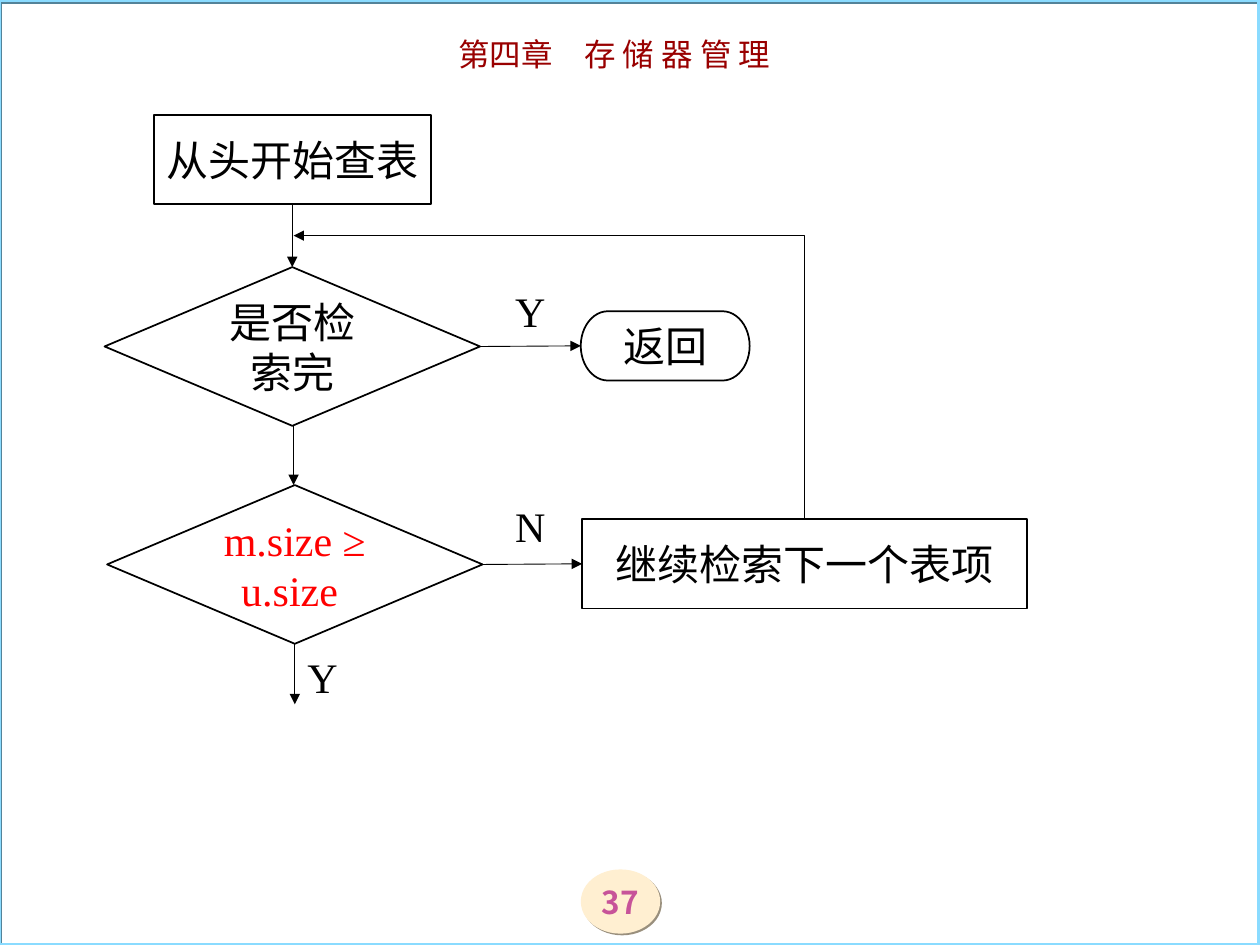
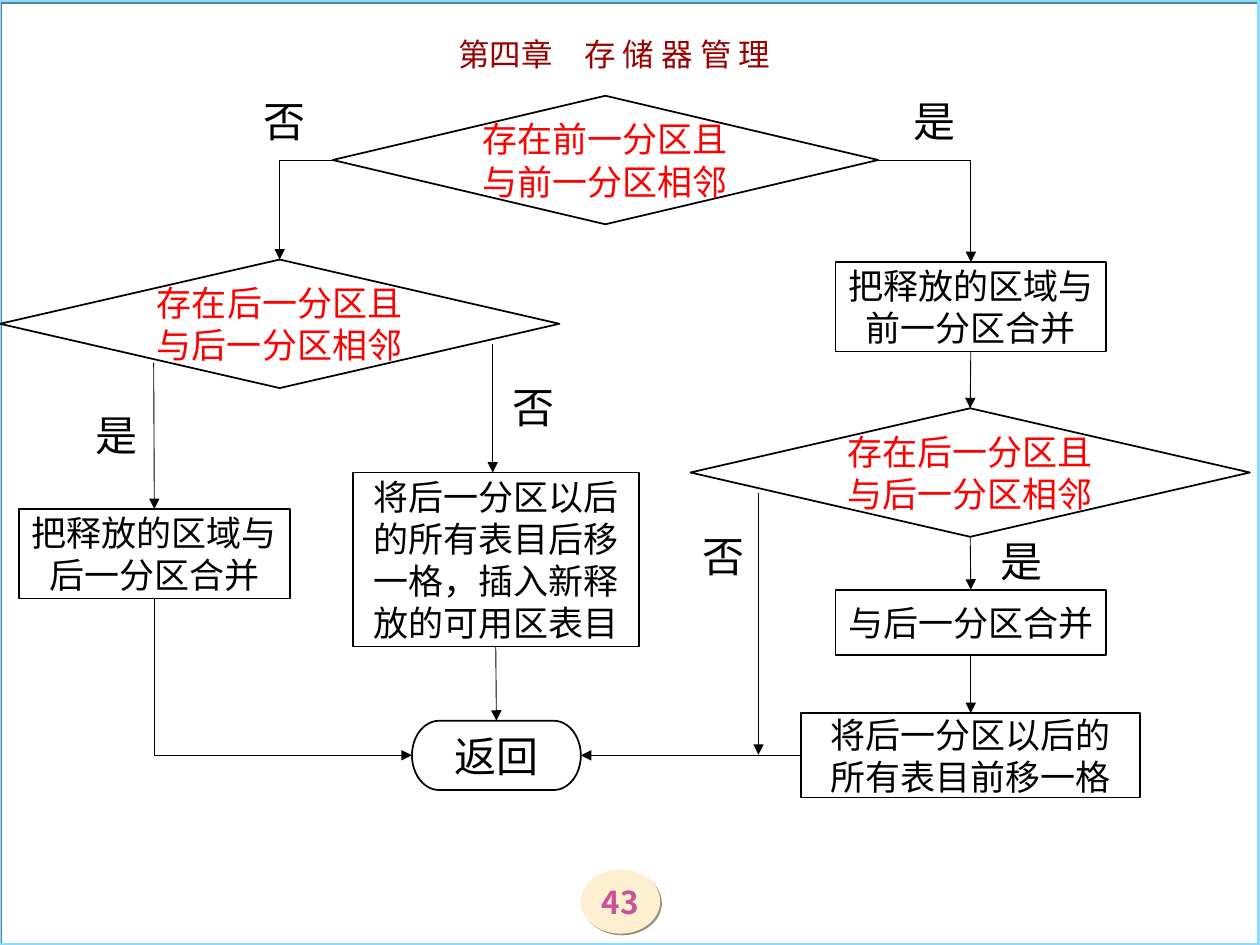
from pptx import Presentation
from pptx.dml.color import RGBColor
from pptx.enum.shapes import MSO_CONNECTOR, MSO_SHAPE
from pptx.enum.text import MSO_ANCHOR, PP_ALIGN
from pptx.oxml.ns import qn
from pptx.util import Inches, Pt
from lxml.etree import SubElement

BLACK, RED, WHITE = "000000", "FF0000", "FFFFFF"
SERIF, SANS, TITLE = "Times New Roman", "Noto Sans CJK SC", "Noto Sans CJK JP"
HEAD = "第四章　存 储 器 管 理"
KINDS = {
    "step": MSO_SHAPE.FLOWCHART_PROCESS,
    "test": MSO_SHAPE.FLOWCHART_DECISION,
    "end": MSO_SHAPE.FLOWCHART_TERMINATOR,
}

# Nodes: kind, box, lines, size, colour
# Links: from, to, bend; an end is a node side or a point,
# a bend "hv" runs across first and "vh" runs down first
# Labels: text, left, top
SEARCH = {
    "page": "37",
    "nodes": {
        "start": ("step", (1.22, 0.91, 2.2, 0.71), ["从头开始查表"], 24, BLACK),
        "done": ("test", (0.83, 2.12, 2.98, 1.26), ["是否检索完"], 24, BLACK),
        "back": ("end", (4.61, 2.47, 1.34, 0.55), ["返回"], 24, BLACK),
        "fit": ("test", (0.85, 3.85, 2.98, 1.26), ["m.size ≥", "u.size "], 24, RED),
        "next": ("step", (4.62, 4.12, 3.53, 0.71), ["继续检索下一个表项"], 24, BLACK),
    },
    "links": [
        ("start.b", "done.t", ""),
        ("done.r", "back.l", ""),
        ((2.33, 3.38), (2.33, 3.85), ""),
        ("fit.r", "next.l", ""),
        ("next.t", (2.33, 1.87), "vh"),
        ("fit.b", (2.34, 5.59), ""),
    ],
    "labels": [("Y", 3.99, 2.22), ("N", 3.99, 3.92), ("Y", 2.34, 5.12)],
}
FREE = {
    "page": "43",
    "nodes": {
        "prev": ("test", (2.64, 0.76, 4.33, 1.02),
                 ["存在前一分区且与前一分区相邻"], 20, RED),
        "join": ("step", (6.63, 2.08, 2.15, 0.71),
                 ["把释放的区域与前一分区合并"], 20, BLACK),
        "right": ("test", (5.48, 3.24, 4.44, 1.02),
                  ["存在后一分区且与后一分区相邻"], 20, RED),
        "both": ("step", (6.63, 4.68, 2.15, 0.52), ["与后一分区合并"], 20, BLACK),
        "shift": ("step", (6.36, 5.66, 2.69, 0.67),
                  ["将后一分区以后的所有表目前移一格"], 20, BLACK),
        "left": ("test", (0, 2.06, 4.44, 1.02),
                 ["存在后一分区且与后一分区相邻"], 20, RED),
        "merge": ("step", (0.15, 4.04, 2.15, 0.71),
                  ["把释放的区域与后一分区合并"], 20, BLACK),
        "new": ("step", (2.8, 3.75, 2.27, 1.38),
                ["将后一分区以后的所有表目后移一格，插入新释放的可用区表目"], 20, BLACK),
        "back": ("end", (3.27, 5.72, 1.34, 0.55), ["返回"], 24, BLACK),
    },
    "links": [
        ("prev.r", "join.t", "hv"),
        ("join.b", "right.t", ""),
        ("right.b", "both.t", ""),
        ("both.b", "shift.t", ""),
        ("prev.l", "left.t", "hv"),
        ((1.22, 2.88), "merge.t", ""),
        ((3.91, 2.73), (3.91, 3.75), ""),
        ("new.b", "back.t", ""),
        ("merge.b", "back.l", "vh"),
        ("shift.l", "back.r", ""),
        ((6.02, 3.91), (6.02, 5.99), ""),
    ],
    "labels": [("是", 7.15, 0.71), ("是", 7.84, 4.2), ("是", 0.66, 3.2),
               ("否", 1.99, 0.71), ("否", 3.97, 2.98), ("否", 5.48, 4.16)],
}


def rgb(code):
    return RGBColor.from_string(code)


def write(shape, lines, size, color, font=SERIF, bold=False,
          align=PP_ALIGN.CENTER, anchor=MSO_ANCHOR.MIDDLE, pad=(0.1, 0.05)):
    frame = shape.text_frame
    frame.word_wrap = True
    frame.vertical_anchor = anchor
    frame.margin_left = frame.margin_right = Inches(pad[0])
    frame.margin_top = frame.margin_bottom = Inches(pad[1])
    for i, line in enumerate(lines):
        para = frame.add_paragraph() if i else frame.paragraphs[0]
        para.alignment = align
        run = para.add_run()
        run.text = line
        run.font.size = Pt(size)
        run.font.name = font
        run.font.bold = bold
        run.font.color.rgb = rgb(color)
        if font != SERIF:
            SubElement(run.font._element, qn("a:ea"), typeface=font)


def draw(slide, kind, box, fill=None, line=None, width=1, shade=None):
    shape = slide.shapes.add_shape(kind, *map(Inches, box))
    shape.shadow.inherit = False
    if fill:
        shape.fill.solid()
        shape.fill.fore_color.rgb = rgb(fill)
    else:
        shape.fill.background()
    if line:
        shape.line.color.rgb = rgb(line)
        shape.line.width = Pt(width)
    else:
        shape.line.fill.background()
    if shade:
        drop = SubElement(shape._element.spPr.find(qn("a:effectLst")),
                          qn("a:outerShdw"), dist=str(Pt(1.4)), dir="2700000",
                          algn="ctr", rotWithShape="0")
        SubElement(drop, qn("a:srgbClr"), val=shade)
    return shape


def label(slide, text, box, **style):
    shape = slide.shapes.add_textbox(*map(Inches, box))
    write(shape, [text], anchor=MSO_ANCHOR.TOP, **style)


def port(nodes, end):
    """Give the point at the middle of a node's side."""
    if not isinstance(end, str):
        return end
    name, side = end.split(".")
    x, y, w, h = nodes[name][1]
    dx, dy = {"t": (0.5, 0), "b": (0.5, 1), "l": (0, 0.5), "r": (1, 0.5)}[side]
    return x + w * dx, y + h * dy


def link(slide, start, stop, bend):
    # The elbow always runs across first, so a "vh" link is laid in reverse
    tip = "a:tailEnd"
    if bend == "vh":
        start, stop, tip = stop, start, "a:headEnd"
    kind = MSO_CONNECTOR.ELBOW if bend else MSO_CONNECTOR.STRAIGHT
    wire = slide.shapes.add_connector(kind, *map(Inches, start + stop))
    wire.line.color.rgb = rgb(BLACK)
    wire.line.width = Pt(0.5)
    props = wire._element.spPr
    if bend:
        props.find(qn("a:prstGeom")).set("prst", "bentConnector2")
    SubElement(props.find(qn("a:ln")), qn(tip), type="triangle")
    SubElement(props, qn("a:effectLst"))


def base(slide, page):
    # Page badge, frame and chapter title
    badge = draw(slide, MSO_SHAPE.OVAL, (4.61, 6.9, 0.63, 0.51),
                 fill="FFEFD1", shade="998F7D")
    write(badge, [page], 18, "C75399", SANS, True, pad=(0, 0))
    draw(slide, MSO_SHAPE.RECTANGLE, (-0.01, 0, 10, 7.5),
         line="8ADBFF", width=2.25, shade="538399")
    label(slide, HEAD, (2.08, 0.23, 5.59, 0.4),
          size=18, color="990000", font=TITLE)


def build(deck, data):
    slide = deck.slides.add_slide(deck.slide_layouts[6])
    base(slide, data["page"])
    nodes = data["nodes"]
    for kind, box, lines, size, color in nodes.values():
        write(draw(slide, KINDS[kind], box, WHITE, BLACK), lines, size, color)
    for start, stop, bend in data["links"]:
        link(slide, port(nodes, start), port(nodes, stop), bend)
    for text, x, y in data["labels"]:
        label(slide, text, (x, y, 0.55, 0.5),
              size=24, color=BLACK, align=PP_ALIGN.LEFT)


def main():
    deck = Presentation()
    deck.slide_width, deck.slide_height = Inches(10), Inches(7.5)
    for data in (SEARCH, FREE):
        build(deck, data)
    deck.save("out.pptx")


if __name__ == "__main__":
    main()
